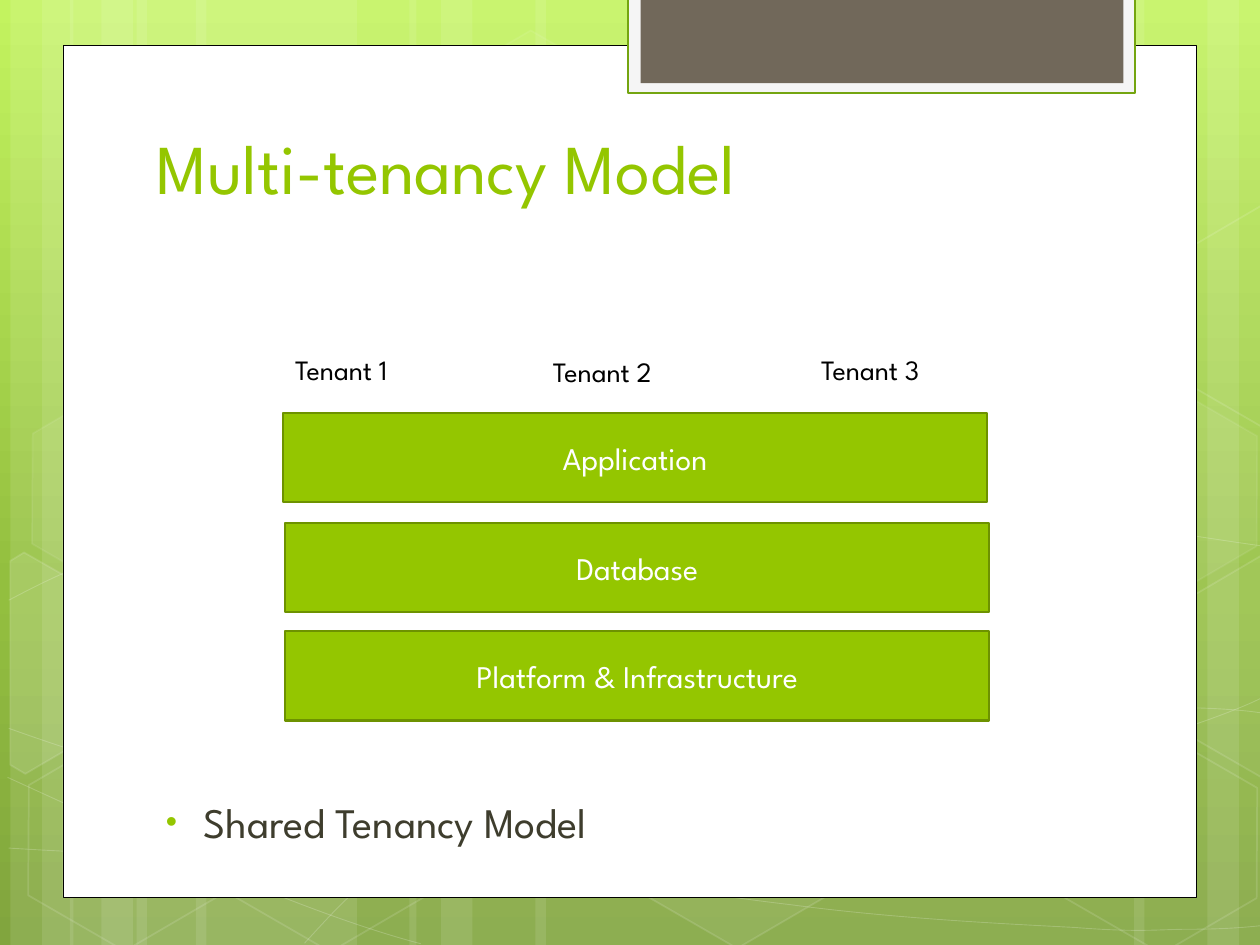
import copy
import math

import pptx
import pptx.dml.color
import pptx.enum.shapes
import pptx.enum.text
import pptx.oxml
import pptx.oxml.ns
import pptx.util
from lxml import etree

Pt = pptx.util.Pt
RGBColor = pptx.dml.color.RGBColor
MSO_SHAPE = pptx.enum.shapes.MSO_SHAPE
ANCHOR = pptx.enum.text.MSO_ANCHOR
ALIGN = pptx.enum.text.PP_ALIGN
qn = pptx.oxml.ns.qn

WHITE = RGBColor(0xFF, 0xFF, 0xFF)
BLACK = RGBColor(0x00, 0x00, 0x00)
LIME = RGBColor(0x94, 0xC6, 0x00)
LIME_EDGE = RGBColor(0x6D, 0x92, 0x00)
TAB_EDGE = RGBColor(0x74, 0xA5, 0x10)
TAB_RIM = RGBColor(0xF5, 0xF5, 0xF5)
TAB_FILL = RGBColor(0x71, 0x68, 0x5A)
BODY_INK = RGBColor(0x3E, 0x3D, 0x2D)
SKY_STOPS = [
    (0, RGBColor(0xC3, 0xF3, 0x5F)),
    (0.62, RGBColor(0x93, 0xBF, 0x3F)),
    (1, RGBColor(0x81, 0xA5, 0x3E)),
]
FONT = "League Spartan"
TILT = 30

STRIPES = [
    (78, 126), (6, 36), (24, 60), (112, 126), (40, 36), (58, 60),
    (528, 126), (690, 36), (648, 60), (306, 222), (234, 36), (252, 60),
]
WAVES = [
    [(5, 484.6), (44, 487), (83, 489), (137, 488), (191, 487), (258, 486), (330, 479),
     (402, 472), (504, 458), (570, 444), (636, 431), (703, 409), (725, 396.7)],
    [(5, 343), (26, 332), (47, 321), (87, 310), (128, 300), (186, 284), (250, 279),
     (314, 274), (392, 273), (471, 279), (550, 284), (682, 307), (725, 312.5)],
    [(4.3, 444.2), (91, 484), (178, 523), (240.5, 539.3)],
    [(5, 416.2), (27, 424), (50, 432), (92, 443.5), (134, 454), (197, 472), (257, 484.6),
     (317, 497), (392, 510), (452, 517), (512, 525), (576, 528), (614, 530),
     (652, 533), (662, 531), (680, 531), (699, 531), (712, 530), (725, 528.5)],
    [(174, 539), (187, 525), (200, 510), (217, 498), (235, 486), (259, 470), (279, 460),
     (300, 450), (312, 446), (338, 438), (364, 431), (413, 421), (438, 416),
     (464, 411), (467, 411), (490, 410), (512, 408), (547, 405), (572, 404.6),
     (597, 404), (638, 404.6), (638, 404.6), (654, 404.6), (670, 404.6), (686, 404.6),
     (699, 405), (711, 406), (718, 407), (724, 408), (722, 407), (724.3, 407.5)],
]
HEXAGONS = [
    (240.5, 26, 4, 8), (358, 424, 6, 12), (8, 425.5, 0, 12), (10.2, 224.6, 7, 8),
    (125.5, 426, 0, 12), (542, 326, 10, 12), (600.5, 427, 0, 12), (600.5, 226, 7, 8),
]
CUT_HEXAGONS = [
    ([(5.8, 320.4), (13.7, 315.6), (69.1, 347.2), (68.5, 410.4), (14.4, 442.1),
      (5.8, 437)], (25.9, 385.3), 10),
    ([(666.7, 349.2), (720.7, 317.5), (726.5, 321.1), (726.5, 441.4), (721.4, 444.2),
      (666.7, 412.6)], (709.2, 374.4), 4),
    ([(666.7, 149), (720.7, 117.4), (727, 121), (726.5, 241.2), (721.4, 244.1),
      (666.7, 212.4)], (709.2, 173.5), 0),
]
TENANTS = [("Tenant 1", 161.6, 198), ("Tenant 2", 308.9, 199.1), ("Tenant 3", 462.2, 198)]
LAYERS = [
    ("Application", 161.6, 236.1), ("Database", 162.9, 298.9),
    ("Platform & Infrastructure", 162.9, 360.7),
]


def set_opacity(color_parent, percent):
    for color in color_parent.iter(qn("a:srgbClr")):
        etree.SubElement(color, qn("a:alpha"), val=str(percent * 1000))


def paint(shape, fill=None, edge=None, width=1, fill_opacity=100, edge_opacity=100):
    shape.shadow.inherit = False
    parts = [(shape.fill, fill, qn("a:solidFill"), fill_opacity),
             (shape.line.fill, edge, qn("a:ln"), edge_opacity)]
    for part, color, tag, opacity in parts:
        if color is None:
            part.background()
            continue
        part.solid()
        part.fore_color.rgb = color
        if opacity < 100:
            set_opacity(shape.element.spPr.find(tag), opacity)
    if edge is not None:
        shape.line.width = Pt(width)


def add_box(slide, box, kind=MSO_SHAPE.RECTANGLE, **look):
    shape = slide.shapes.add_shape(kind, *map(Pt, box))
    paint(shape, **look)
    return shape


def add_outline(slide, points, close):
    corners = [(Pt(x), Pt(y)) for x, y in points]
    builder = slide.shapes.build_freeform(*corners[0], scale=1.0)
    builder.add_line_segments(corners[1:], close=close)
    return builder.convert_to_shape()


def add_wave(slide, knots):
    wave = add_outline(slide, knots[::3], False)
    segments = list(wave.element.iter(qn("a:lnTo")))
    for index, segment in enumerate(segments):
        segment.tag = qn("a:cubicBezTo")
        segment.clear()
        for x, y in knots[3 * index + 1:3 * index + 4]:
            etree.SubElement(segment, qn("a:pt"),
                             x=str(Pt(x) - wave.left), y=str(Pt(y) - wave.top))
    paint(wave, edge=WHITE, width=0.5, edge_opacity=20)


def turn_back(point, center):
    angle = math.radians(-TILT)
    dx, dy = point[0] - center[0], point[1] - center[1]
    return (center[0] + dx * math.cos(angle) - dy * math.sin(angle),
            center[1] + dx * math.sin(angle) + dy * math.cos(angle))


def write(shape, text, size, color, align=ALIGN.LEFT, anchor=ANCHOR.TOP):
    frame = shape.text_frame
    frame_format = {"word_wrap": True, "vertical_anchor": anchor,
                    "auto_size": pptx.enum.text.MSO_AUTO_SIZE.NONE}
    for name, value in frame_format.items():
        setattr(frame, name, value)
    paragraph = frame.paragraphs[0]
    paragraph.alignment = align
    run = paragraph.add_run()
    run.text = text
    for name, value in {"name": FONT, "size": Pt(size)}.items():
        setattr(run.font, name, value)
    run.font.color.rgb = color


def add_label(slide, box, text, size, color):
    label = slide.shapes.add_textbox(*map(Pt, box))
    write(label, text, size, color)
    return label


def add_bullet(paragraph):
    properties = paragraph._p.get_or_add_pPr()
    for name, value in {"marL": Pt(27.36), "indent": Pt(-21.6)}.items():
        properties.set(name, str(value))
    marks = pptx.oxml.parse_xml(
        '<a:pPr xmlns:a="http://schemas.openxmlformats.org/drawingml/2006/main">'
        f'<a:buClr><a:srgbClr val="{LIME}"/></a:buClr><a:buSzPct val="76000"/>'
        '<a:buFont typeface="Arial"/><a:buChar char="•"/></a:pPr>')
    properties.extend(list(marks))


def add_backdrop(slide):
    sky = slide.background.fill
    sky.gradient()
    sky.gradient_angle = 270
    last_stop = sky.gradient_stops[1]._gs
    last_stop.addnext(copy.deepcopy(last_stop))
    for stop, (position, color) in zip(sky.gradient_stops, SKY_STOPS):
        stop.position = position
        stop.color.rgb = color
    for left, width in STRIPES:
        add_box(slide, (left, 0, width, 540), fill=WHITE, fill_opacity=10)
    for knots in WAVES:
        add_wave(slide, knots)
    for left, top, tint, edge in HEXAGONS:
        hexagon = add_box(slide, (left, top, 126, 109.4), MSO_SHAPE.HEXAGON,
                          fill=WHITE if tint else None, fill_opacity=tint,
                          edge=WHITE, edge_opacity=edge)
        hexagon.adjustments[0] = 0.285
        hexagon.rotation = TILT
    for corners, center, tint in CUT_HEXAGONS:
        upright = [turn_back(corner, center) for corner in corners]
        cut = add_outline(slide, upright, True)
        cut.rotation = TILT
        paint(cut, fill=WHITE if tint else None, fill_opacity=tint,
              edge=WHITE, edge_opacity=12)


def add_panel(slide):
    add_box(slide, (36, 26, 648, 487), fill=WHITE, edge=BLACK, width=0.5)
    add_box(slide, (359, -1.5, 289.7, 54.7), fill=TAB_RIM, edge=TAB_EDGE, width=1.25)
    add_box(slide, (366, -1.5, 276, 49), fill=TAB_FILL)


def add_title(slide):
    title = slide.shapes.title
    slide.shapes.element.append(title.element)
    place = {"left": 82.2, "top": 60.2, "width": 553, "height": 62.6}
    for name, value in place.items():
        setattr(title, name, Pt(value))
    write(title, "Multi-tenancy Model", 40, LIME, anchor=ANCHOR.BOTTOM)


def main():
    deck = pptx.Presentation()
    deck.slide_width, deck.slide_height = Pt(720), Pt(540)
    slide = deck.slides.add_slide(deck.slide_layouts[5])
    add_backdrop(slide)
    add_panel(slide)
    add_title(slide)
    summary = add_label(slide, (82, 451.4, 556, 39.6), "Shared Tenancy Model", 24, BODY_INK)
    add_bullet(summary.text_frame.paragraphs[0])
    for tenant, left, top in TENANTS:
        add_label(slide, (left, top, 87, 26.6), tenant, 16, BLACK)
    for layer, left, top in LAYERS:
        band = add_box(slide, (left, top, 402.5, 51), fill=LIME, edge=LIME_EDGE, width=1.25)
        write(band, layer, 18, WHITE, ALIGN.CENTER, ANCHOR.MIDDLE)
    deck.save("out.pptx")


if __name__ == "__main__":
    main()
